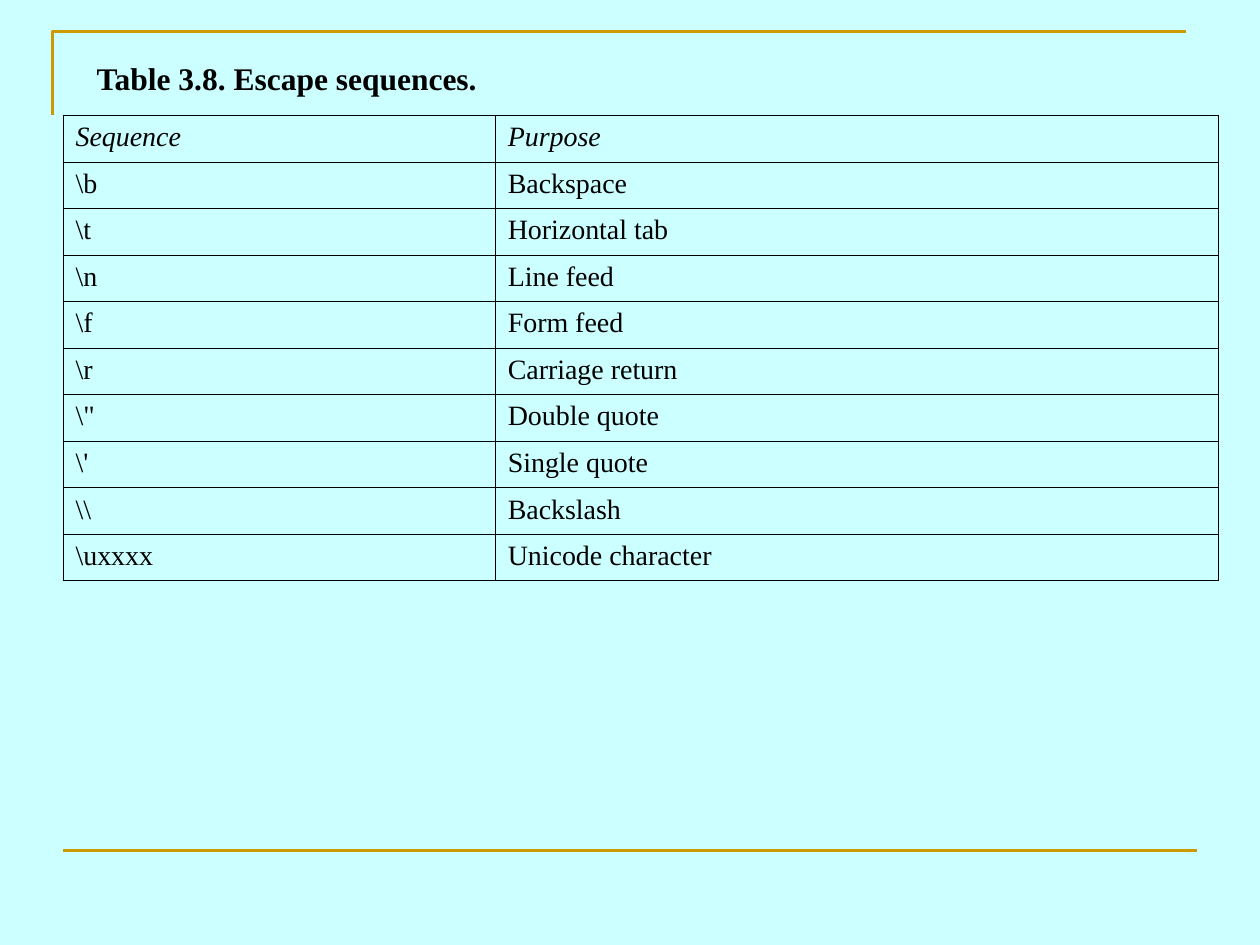
import dataclasses

import pptx
import pptx.dml.color
import pptx.enum.shapes
import pptx.enum.text
import pptx.oxml
import pptx.oxml.ns
import pptx.util


@dataclasses.dataclass(frozen=True)
class Theme:
    """Colours, typeface, type sizes and line widths of the deck."""
    background: str = "CCFFFF"
    ink: str = "000000"
    accent: str = "CC9900"
    typeface: str = "Times New Roman"
    title_size: float = 18
    cell_size: float = 16
    rule_width: float = 1.5
    border_width: float = 0.45


class PageBuilder:
    """Draws styled elements on the current page."""

    def __init__(self, page, theme):
        self.page = page
        self.theme = theme
        fill = page.background.fill
        fill.solid()
        fill.fore_color.rgb = self.color(theme.background)

    def color(self, value):
        return pptx.dml.color.RGBColor.from_string(value)

    def style_line(self, line):
        line.color.rgb = self.color(self.theme.accent)
        line.width = pptx.util.Pt(self.theme.rule_width)

    def style_text(self, para, size, bold=False, italic=False):
        para.alignment = pptx.enum.text.PP_ALIGN.LEFT
        for span in para.runs:
            span.font.name = self.theme.typeface
            span.font.size = pptx.util.Pt(size)
            span.font.bold = bold
            span.font.italic = italic
            span.font.color.rgb = self.color(self.theme.ink)

    def corner(self, points):
        start, *others = points
        builder = self.page.shapes.build_freeform(*start, scale=float(pptx.util.Pt(1)))
        builder.add_line_segments(others, close=False)
        shape = builder.convert_to_shape()
        shape.shadow.inherit = False
        shape.fill.background()
        self.style_line(shape.line)

    def rule(self, left, right, y):
        line = self.page.shapes.add_connector(
            pptx.enum.shapes.MSO_CONNECTOR.STRAIGHT,
            *(pptx.util.Pt(value) for value in (left, y, right, y)))
        line._element.spPr.append(pptx.oxml.parse_xml(
            f"<a:effectLst {pptx.oxml.ns.nsdecls('a')}/>"))
        self.style_line(line.line)

    def title(self, text, left, top, width, height):
        box = self.page.shapes.title
        box.left, box.top, box.width, box.height = (
            pptx.util.Pt(value) for value in (left, top, width, height))
        frame = box.text_frame
        frame.text = text
        frame.word_wrap = False
        frame.auto_size = pptx.enum.text.MSO_AUTO_SIZE.NONE
        frame.vertical_anchor = pptx.enum.text.MSO_ANCHOR.TOP
        self.style_text(frame.paragraphs[0], self.theme.title_size, bold=True)

    def border(self, cell):
        properties = cell._tc.get_or_add_tcPr()
        width = pptx.util.Pt(self.theme.border_width)
        for side in ("lnL", "lnR", "lnT", "lnB"):
            properties.append(pptx.oxml.parse_xml(
                f'<a:{side} {pptx.oxml.ns.nsdecls("a")} w="{width}"><a:solidFill>'
                f'<a:srgbClr val="{self.theme.ink}"/></a:solidFill></a:{side}>'))

    def table(self, rows, left, top, widths, row_height):
        frame = self.page.shapes.add_table(
            len(rows), len(widths), pptx.util.Pt(left), pptx.util.Pt(top),
            pptx.util.Pt(sum(widths)), pptx.util.Pt(row_height * len(rows)))
        grid = frame.table
        grid.horz_banding = False
        grid.first_row = False
        for column, width in zip(grid.columns, widths):
            column.width = pptx.util.Pt(width)
        for index, (row, texts) in enumerate(zip(grid.rows, rows)):
            row.height = pptx.util.Pt(row_height)
            for cell, text in zip(row.cells, texts):
                cell.text_frame.text = text
                self.border(cell)
                cell.fill.background()
                self.style_text(cell.text_frame.paragraphs[0],
                                self.theme.cell_size, italic=index == 0)


ESCAPE_ROWS = [
    ("Sequence", "Purpose"),
    (r"\b", "Backspace"),
    (r"\t", "Horizontal tab"),
    (r"\n", "Line feed"),
    (r"\f", "Form feed"),
    (r"\r", "Carriage return"),
    (r'\"', "Double quote"),
    (r"\'", "Single quote"),
    (r"\\", "Backslash"),
    (r"\uxxxx", "Unicode character"),
]


def main():
    deck = pptx.Presentation()
    deck.slide_width = pptx.util.Pt(720)
    deck.slide_height = pptx.util.Pt(540)
    title_only = deck.slide_layouts.get_by_name("Title Only")
    builder = PageBuilder(deck.slides.add_slide(title_only), Theme())
    builder.corner([(30, 66), (30, 18), (678, 18)])
    builder.rule(36, 684, 486)
    builder.title("Table 3.8. Escape sequences.", 48, 30, 233, 50)
    builder.table(ESCAPE_ROWS, 36, 66, (247, 413), 26.6)
    deck.save("out.pptx")


if __name__ == "__main__":
    main()
